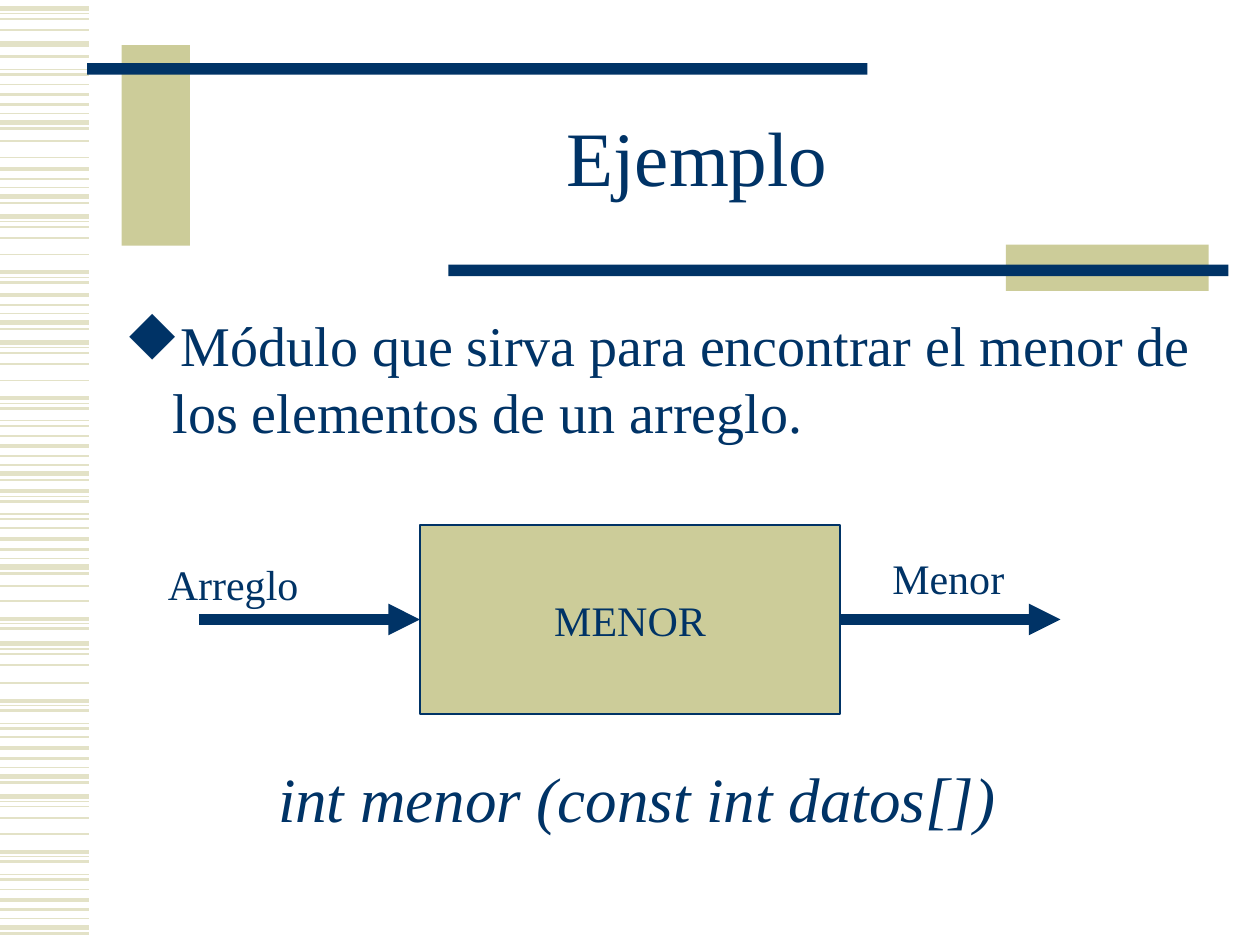
from collections import namedtuple
from lxml.etree import SubElement
from pptx import Presentation
from pptx.dml.color import RGBColor
from pptx.enum.shapes import MSO_CONNECTOR as Connector, MSO_SHAPE as Shape
from pptx.enum.text import MSO_ANCHOR as Anchor, PP_ALIGN as Align
from pptx.oxml.ns import qn
from pptx.util import Inches, Pt

COLORS = {"navy": "003366", "sand": "CCCC99", "pale": "E3E2C7"}
FONT = "Times New Roman"
CELL = Inches(1) / 12
COLUMNS, ROWS = 120, 90
STRIPE_ROWS = 750

Box = namedtuple("Box", "left top width height")

STRIPE_MOTIFS = [
    ([(0, 2.25), (8, 1.5), (15, 0.75), (22, 3), (27, 1.5)],
     [75, 134, 234, 354, 428, 594, 714]),
    ([(0, 3), (4, 0.75), (8, 1), (17, 1)], [7, 172, 272, 511, 632]),
    ([(0, 2.25), (4, 0.75), (8, 1.5)], [216, 316, 390, 491, 556, 676]),
    ([(0, 0.75), (4, 1.5)], [55, 334, 408, 574, 694]),
    ([(0, 1)], [67, 112, 125, 202, 302, 346, 419, 465, 477, 542, 585, 662, 706]),
    ([(0, 3), (10, 1.5)], [35]),
]


def color(name):
    return RGBColor.from_string(COLORS[name])


def cells(*counts):
    return [round(count * CELL) for count in counts]


def inside(box, left, top, width, height):
    return Box(box.left + left, box.top + top, width, height)


def add_block(page, box, fill):
    block = page.shapes.add_shape(Shape.RECTANGLE, *cells(*box))
    block.shadow.inherit = False
    block.fill.solid()
    block.fill.fore_color.rgb = color(fill)
    block.line.fill.background()
    return block


def add_line(page, start, end, tint, weight):
    line = page.shapes.add_connector(Connector.STRAIGHT, *cells(*start, *end))
    line.line.color.rgb = color(tint)
    line.line.width = Pt(weight)
    SubElement(line.element.spPr, qn("a:effectLst"))
    return line


def write(shape, text, size, align=Align.LEFT, anchor=Anchor.TOP, wrap=False, italic=False):
    frame = shape.text_frame
    frame.text = text
    frame.word_wrap = wrap
    frame.vertical_anchor = anchor
    para = frame.paragraphs[0]
    para.alignment = align
    for span in para.runs:
        span.font.name = FONT
        span.font.size = Pt(size)
        span.font.italic = italic
        span.font.color.rgb = color("navy")
    return para


def add_text(page, box, text, size, **style):
    return write(page.shapes.add_textbox(*cells(*box)), text, size, **style)


def add_stripes(page, box):
    row = box.height / STRIPE_ROWS
    for motif, starts in STRIPE_MOTIFS:
        for start in starts:
            for offset, weight in motif:
                y = box.top + (start + offset) * row
                add_line(page, (box.left, y), (box.left + box.width, y), "pale", weight)


def add_header(page, box, text):
    add_block(page, inside(box, 3.3, 0, 6.5, 19.1), "sand")
    add_block(page, inside(box, 0, 1.7, 74.3, 1.1), "navy")
    add_block(page, inside(box, 87.5, 19, 19.3, 4.4), "sand")
    add_block(page, inside(box, 34.4, 20.9, 74.3, 1.1), "navy")
    title = page.shapes.title
    title.left, title.top, title.width, title.height = cells(*inside(box, 9.7, 3.7, 96.8, 15))
    para = write(title, text, 44, align=Align.CENTER, anchor=Anchor.MIDDLE, wrap=True)
    para.line_spacing = 0.85


def add_statement(page, box, text):
    para = add_text(page, box, text, 32, wrap=True)
    properties = para._p.get_or_add_pPr()
    indent = Inches(0.38)
    properties.set("marL", str(indent))
    properties.set("indent", str(-indent))
    tint = SubElement(properties, qn("a:buClr"))
    SubElement(tint, qn("a:srgbClr"), val=COLORS["navy"])
    SubElement(properties, qn("a:buFont"), typeface="Wingdings", charset="2")
    SubElement(properties, qn("a:buChar"), char="u")


def add_diagram(page, box):
    module = add_block(page, inside(box, 21, 0, 40, box.height), "sand")
    module.line.color.rgb = color("navy")
    module.line.width = Pt(0.75)
    write(module, "MENOR", 24, align=Align.CENTER, anchor=Anchor.MIDDLE)
    middle = box.top + box.height / 2
    for start in (0, 61):
        left = box.left + start
        arrow = add_line(page, (left, middle), (left + 21, middle), "navy", 6)
        outline = arrow.element.spPr.find(qn("a:ln"))
        SubElement(outline, qn("a:tailEnd"), type="triangle")
    add_text(page, inside(box, -4.2, 2.6, 14.8, 6), "Arreglo", 24)
    add_text(page, inside(box, 64.8, 2, 13.1, 6), "Menor", 24)


def main():
    deck = Presentation()
    deck.slide_width, deck.slide_height = cells(COLUMNS, ROWS)
    page = deck.slides.add_slide(deck.slide_layouts[5])
    add_stripes(page, Box(0, 0, 8.5, ROWS))
    add_header(page, Box(8.3, 4.3, 108.7, 23.4), "Ejemplo")
    add_statement(page, Box(10.7, 29, 104.4, 50.9),
                  "Módulo que sirva para encontrar el menor de los elementos de un arreglo.")
    add_diagram(page, Box(19, 50, 82, 18))
    add_text(page, Box(25.3, 71.7, 70.7, 8.4), "int menor (const int datos[])", 36, italic=True)
    deck.save("out.pptx")


if __name__ == "__main__":
    main()
